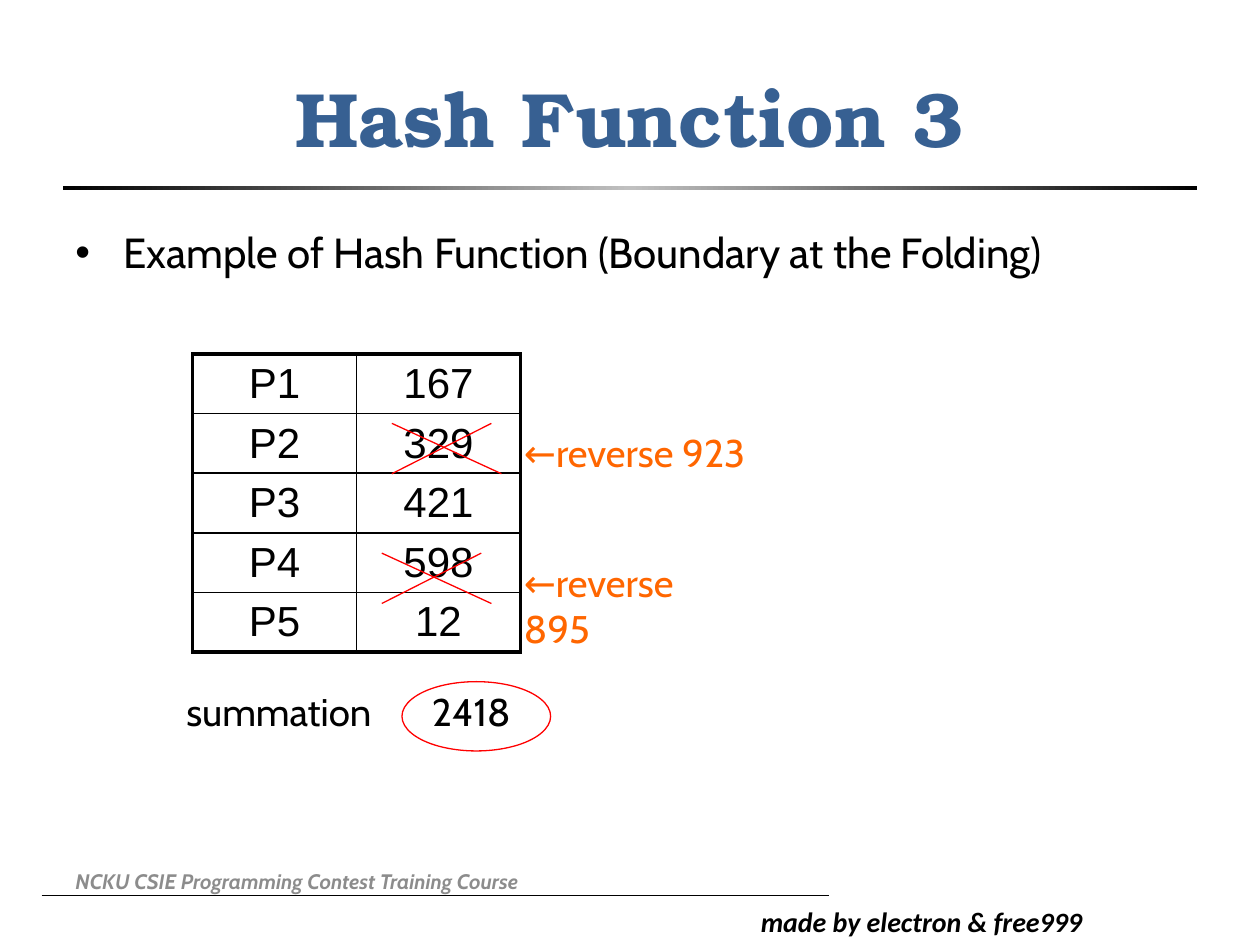
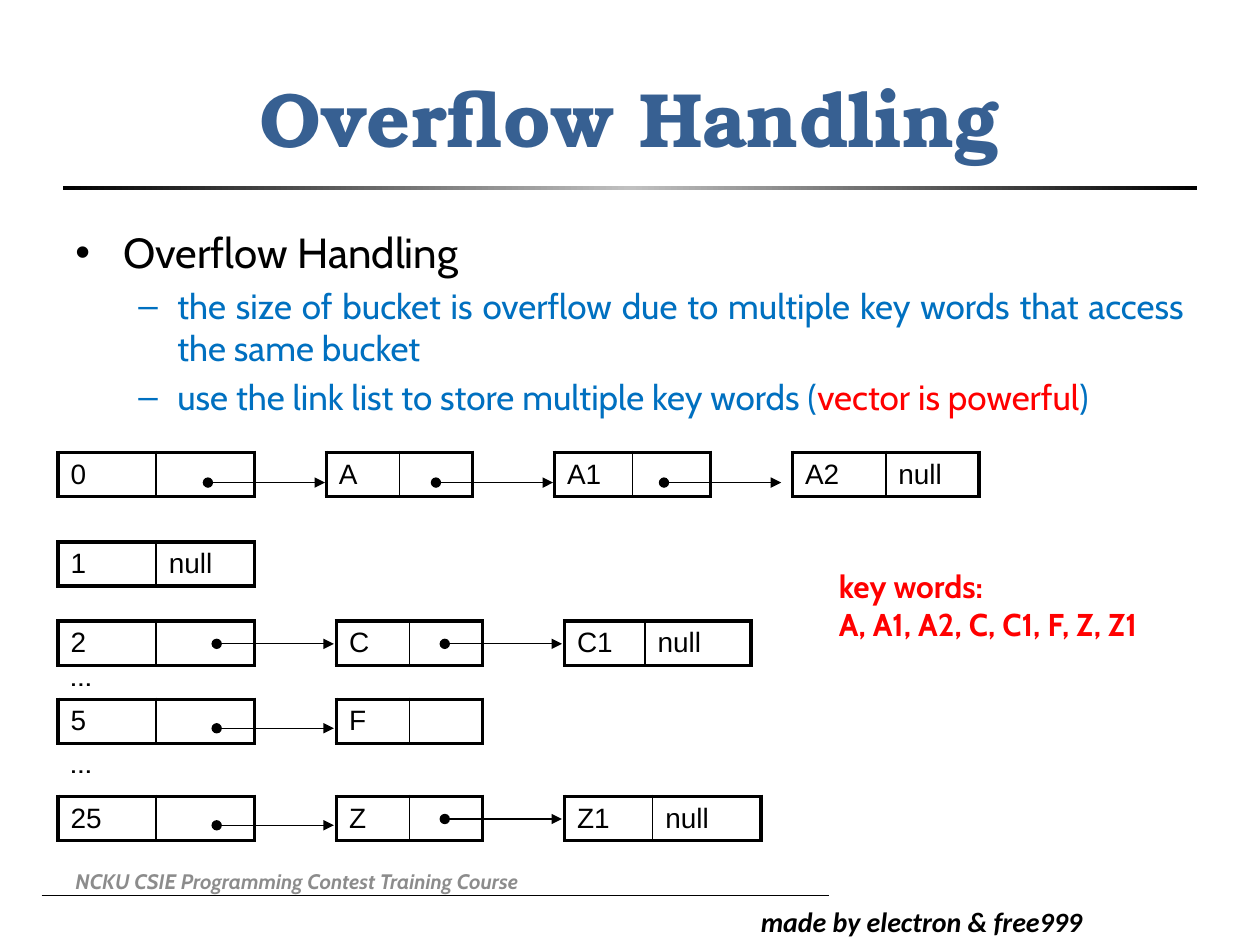
import copy

import pptx
import pptx.dml.color
import pptx.enum.shapes
import pptx.enum.text
import pptx.oxml
import pptx.oxml.ns
import pptx.util

Inches = pptx.util.Inches
Pt = pptx.util.Pt
ALIGN = pptx.enum.text.PP_ALIGN
MIDDLE = pptx.enum.text.MSO_ANCHOR.MIDDLE
SHAPE = pptx.enum.shapes.MSO_SHAPE
STRAIGHT = pptx.enum.shapes.MSO_CONNECTOR.STRAIGHT
SPACE = pptx.oxml.ns.nsdecls("a")

BLACK, NAVY, BLUE = "000000", "376092", "0070C0"
RED, ORANGE, GREY, SILVER = "FF0000", "FF6600", "8C8C8C", "C0C0C0"
BODY, HEAD, PLAIN = "Cabin", "TeX Gyre Bonum", "Arial"
THIN, THICK = 1, 2.25


def paint(value):
    return pptx.dml.color.RGBColor.from_string(value)


def node(xml):
    """Parse one drawing element, given without its namespace."""
    name, rest = xml[1:].split(" ", 1)
    return pptx.oxml.parse_xml(f"<{name} {SPACE} {rest}")


def write(para, text, size=24, font=BODY, color=BLACK, bold=False,
          italic=False, align=None, before=0):
    """Add one run to a paragraph and format both."""
    if align is not None:
        para.alignment = align
    if before:
        para.space_before = Pt(before)
    run = para.add_run()
    run.text = text
    run.font.size = Pt(size)
    run.font.name = font
    run.font.bold = bold
    run.font.italic = italic
    run.font.color.rgb = paint(color)


def add_text(slide, box, text, anchor=None, **style):
    """Add a text box with one paragraph for each line of text."""
    frame = slide.shapes.add_textbox(*map(Inches, box)).text_frame
    frame.word_wrap = True
    if anchor is not None:
        frame.vertical_anchor = anchor
    for i, line in enumerate(text.split("\n")):
        para = frame.add_paragraph() if i else frame.paragraphs[0]
        write(para, line, **style)
    return frame


def add_line(shapes, start, end, color=BLACK, width=0.75, arrow=False):
    line = shapes.add_connector(STRAIGHT, *map(Inches, start + end))
    line.line.color.rgb = paint(color)
    line.line.width = Pt(width)
    if arrow:
        ln = line.line._get_or_add_ln()
        ln.append(node('<a:headEnd type="oval"/>'))
        ln.append(node('<a:tailEnd type="triangle"/>'))
    line._element.spPr.append(node("<a:effectLst />"))


def add_shape(slide, kind, box):
    shape = slide.shapes.add_shape(kind, *map(Inches, box))
    shape.shadow.inherit = False
    return shape


def add_grid(slide, left, top, widths, height, rows, **style):
    """Add a table with a thick frame and thin inner lines."""
    box = (left, top, sum(widths), height * len(rows))
    table = slide.shapes.add_table(
        len(rows), len(widths), *map(Inches, box)).table
    table.first_row = table.horz_banding = False
    for col, width in zip(table.columns, widths):
        col.width = Inches(width)
    for r, row in enumerate(rows):
        table.rows[r].height = Inches(height)
        for c, text in enumerate(row):
            cell = table.cell(r, c)
            cell.margin_top = cell.margin_bottom = Inches(0.02)
            cell.vertical_anchor = MIDDLE
            edges = {"L": c == 0, "R": c == len(row) - 1,
                     "T": r == 0, "B": r == len(rows) - 1}
            props = cell._tc.get_or_add_tcPr()
            for side, outer in edges.items():
                width = Pt(THICK if outer else THIN)
                props.append(node(
                    f'<a:ln{side} w="{width}"><a:solidFill>'
                    f'<a:srgbClr val="{BLACK}"/></a:solidFill></a:ln{side}>'))
            cell.fill.background()
            if text:
                write(cell.text_frame.paragraphs[0], text, font=PLAIN, **style)


def add_base(deck, title):
    """Start a slide with the title, its rule and the footers."""
    slide = deck.slides.add_slide(deck.slide_layouts[6])
    add_line(slide.shapes, (0.33, 7.11), (6.58, 7.11), width=0.5)
    add_text(slide, (5.94, 7.13, 3.07, 0.37), "made by electron & free999",
             size=16, font="Calibri", bold=True, italic=True)
    rule = add_shape(slide, SHAPE.RECTANGLE, (0.5, 1.48, 9, 0.03))
    rule.line.fill.background()
    rule.fill.gradient()
    rule.fill.gradient_angle = 0
    stops = rule._element.spPr.find(".//" + pptx.oxml.ns.qn("a:gsLst"))
    stops.append(copy.deepcopy(stops[0]))
    for i, stop in enumerate(rule.fill.gradient_stops):
        stop.position = i / 2
        stop.color.rgb = paint((BLACK, SILVER, BLACK)[i])
    add_text(slide, (0.5, 0.3, 9, 1.25), title, anchor=MIDDLE, size=44,
             font=HEAD, color=NAVY, bold=True, align=ALIGN.CENTER)
    add_text(slide, (0.5, 6.79, 4.66, 0.4),
             "NCKU CSIE Programming Contest Training Course",
             anchor=MIDDLE, size=12, color=GREY, bold=True, italic=True)
    return slide


def add_list(slide, items):
    """Add the body: items are a level and runs of text and colour."""
    frame = slide.shapes.add_textbox(
        *map(Inches, (0.5, 1.75, 9, 4.95))).text_frame
    frame.word_wrap = True
    levels = ((0.38, -0.38, "•", 24), (0.81, -0.31, "–", 20))
    for i, (level, runs) in enumerate(items):
        para = frame.add_paragraph() if i else frame.paragraphs[0]
        margin, indent, mark, size = levels[level]
        for text, color in runs:
            write(para, text, size=size, color=color,
                  align=ALIGN.JUSTIFY, before=size / 5)
        props = para._p.get_or_add_pPr()
        props.set("marL", str(Inches(margin)))
        props.set("indent", str(Inches(indent)))
        props.append(node('<a:buFont typeface="Arial"/>'))
        props.append(node(f'<a:buChar char="{mark}"/>'))


def add_cross(slide, left, top):
    group = slide.shapes.add_group_shape()
    low = top + 0.4
    add_line(group.shapes, (left, top), (left + 0.87, low), RED)
    add_line(group.shapes, (left + 0.79, top), (left, low), RED)


def add_chain(slide, top, nodes, start=1.72, dips=()):
    """Draw linked nodes (left, widths, texts) and arrows set down by dips."""
    for left, widths, texts in nodes:
        add_grid(slide, left, top, widths, 0.35, [texts], size=16)
    for i, dip in enumerate(dips):
        x, y = start + 1.81 * i, top + dip
        add_line(slide.shapes, (x, y), (x + 0.93, y), arrow=True)


def fold_slide(deck):
    slide = add_base(deck, "Hash Function 3")
    add_list(slide, [
        (0, [("Example of Hash Function (Boundary at the Folding)", BLACK)])])
    parts = ("167", "329", "421", "598", "12")
    rows = [(f"P{i}", part) for i, part in enumerate(parts, 1)]
    add_grid(slide, 1.53, 2.81, (1.3, 1.3), 0.473, rows,
             size=24, align=ALIGN.CENTER)
    for left, top, width, value in ((3.11, 3.36, 2.05, "923"),
                                    (3.03, 4.39, 1.97, "895")):
        add_cross(slide, left, top)
        add_text(slide, (4.06, top, width, 0.47), f"←reverse {value}",
                 size=22, color=ORANGE, before=11)
    total = add_text(slide, (1.38, 5.41, 3.39, 0.47), "summation\t2418",
                     size=22, before=11)
    total.paragraphs[0]._p.get_or_add_pPr().append(node(
        f'<a:tabLst ><a:tab pos="{Inches(1.95)}" algn="l"/></a:tabLst>'))
    ring = add_shape(slide, SHAPE.OVAL, (3.19, 5.41, 1.18, 0.55))
    ring.fill.background()
    ring.line.color.rgb = paint(RED)
    ring.line.width = Pt(0.75)


def chain_slide(deck):
    slide = add_base(deck, "Overflow Handling")
    add_list(slide, [
        (0, [("Overflow Handling", BLACK)]),
        (1, [("the size of bucket is overflow due to multiple key words "
              "that access the same bucket", BLUE)]),
        (1, [("use the link list to store multiple key words (", BLUE),
             ("vector is powerful", RED), (")", BLUE)])])

    def bucket(key, link=""):
        return 0.46, (0.78, 0.78), (key, link)

    def first(key, left=2.67):
        return left, (0.58, 0.58), (key, "")

    add_chain(slide, 3.59, [
        bucket("0"), first("A", 2.59), (4.4, (0.62, 0.62), ("A1", "")),
        (6.29, (0.74, 0.74), ("A2", "null"))], 1.65, (0.24, 0.24, 0.24))
    add_chain(slide, 4.3, [bucket("1", "null")])
    add_chain(slide, 4.93, [
        bucket("2"), first("C"), (4.48, (0.64, 0.84), ("C1", "null"))],
        dips=(0.18, 0.18))
    add_chain(slide, 5.55, [bucket("5"), first("F")], dips=(0.23,))
    add_chain(slide, 6.32, [
        bucket("25"), first("Z"), (4.48, (0.7, 0.86), ("Z1", "null"))],
        dips=(0.23, 0.18))
    for top in (5.15, 5.84):
        add_text(slide, (0.46, top, 1.01, 0.4), "…", size=18, before=9)
    add_text(slide, (6.56, 4.45, 3.44, 0.71),
             "key words:\nA, A1, A2, C, C1, F, Z, Z1",
             size=18, color=RED, bold=True)


def main():
    deck = pptx.Presentation()
    deck.slide_width, deck.slide_height = Inches(10), Inches(7.5)
    fold_slide(deck)
    chain_slide(deck)
    deck.save("out.pptx")


if __name__ == "__main__":
    main()
